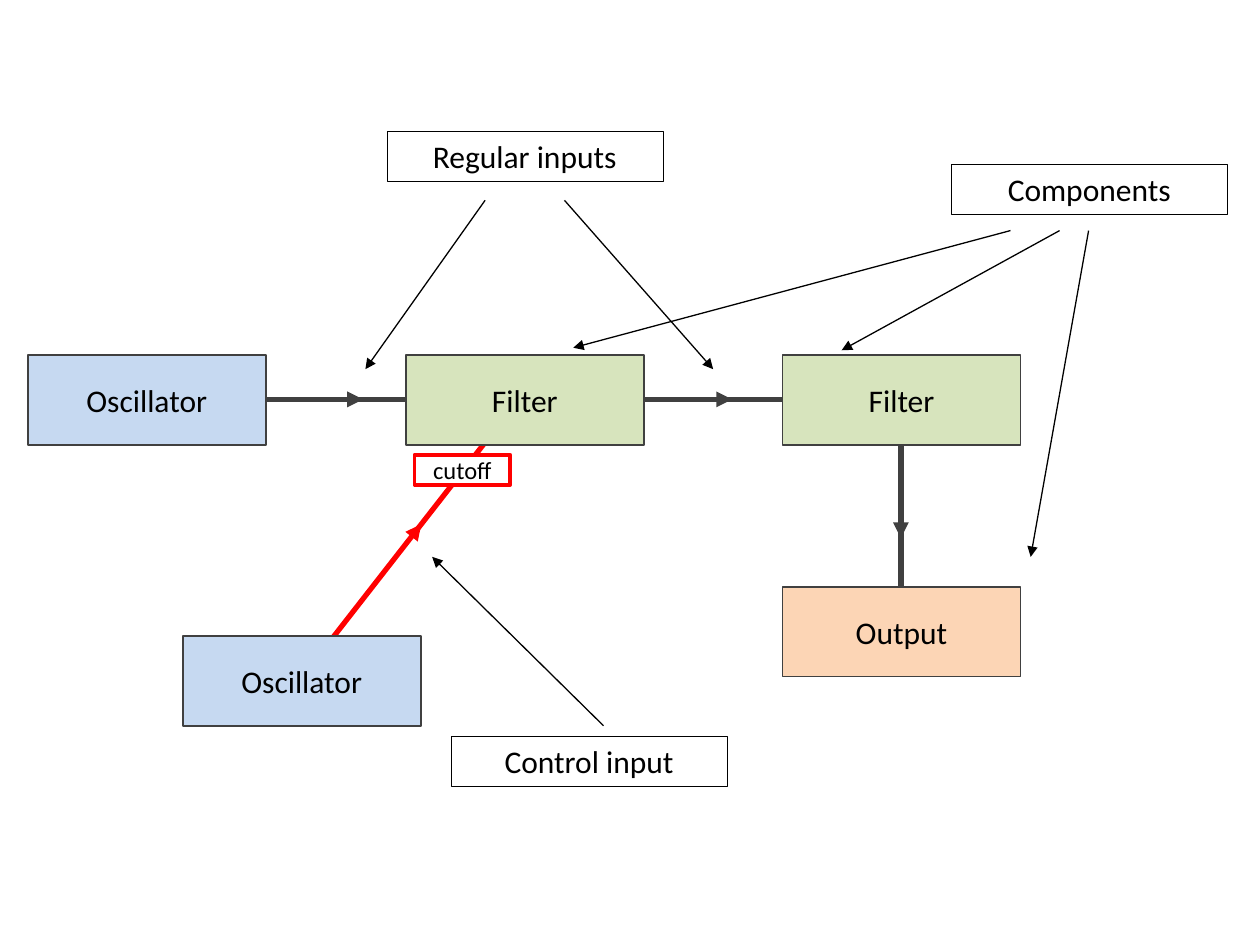
from lxml import etree
from pptx import Presentation
from pptx import util as u
from pptx.dml.color import RGBColor
from pptx.enum import shapes, text
from pptx.oxml.ns import qn

COLORS = {
    "ink": "000000", "grey": "404040", "red": "FF0000", "white": "FFFFFF",
    "blue": "C6D9F1", "green": "D7E4BD", "orange": "FCD5B5",
}


class Diagram:
    """Draws the boxes, labels and arrows of a signal flow diagram."""

    font = "Calibri"
    block_size = (1.89, 0.71)
    label_size = (2.19, 0.4)

    def __init__(self, slide):
        self.shapes = slide.shapes

    def color(self, name):
        return RGBColor.from_string(COLORS[name])

    def outline(self, item, color, width):
        item.line.color.rgb = self.color(color)
        item.line.width = u.Pt(width)

    def box(self, words, place, size, fill, line, width, points=18):
        box = self.shapes.add_shape(
            shapes.MSO_SHAPE.RECTANGLE, *map(u.Inches, place + size))
        box.shadow.inherit = False
        if fill:
            box.fill.solid()
            box.fill.fore_color.rgb = self.color(fill)
        else:
            box.fill.background()
        self.outline(box, line, width)
        frame = box.text_frame
        frame.word_wrap = True
        frame.vertical_anchor = text.MSO_ANCHOR.MIDDLE
        para = frame.paragraphs[0]
        para.alignment = text.PP_ALIGN.CENTER
        span = para.add_run()
        span.text = words
        formats = {"name": self.font, "size": u.Pt(points)}
        for key, value in formats.items():
            setattr(span.font, key, value)
        span.font.color.rgb = self.color("ink")
        return box

    def block(self, words, place, fill):
        self.box(words, place, self.block_size, fill, "grey", 1)

    def label(self, words, place):
        box = self.box(words, place, self.label_size, None, "ink", 0.25)
        box.text_frame.auto_size = text.MSO_AUTO_SIZE.SHAPE_TO_FIT_TEXT

    def line(self, start, end, color="ink", width=0.75, head=True):
        line = self.shapes.add_connector(
            shapes.MSO_CONNECTOR.STRAIGHT, *map(u.Inches, start + end))
        self.outline(line, color, width)
        if head:
            etree.SubElement(line.line._get_or_add_ln(), qn("a:tailEnd"), type="triangle")
        etree.SubElement(line._element.spPr, qn("a:effectLst"))

    def signal(self, start, end, color="grey", tip=0.52):
        def along(share):
            return tuple(a + (b - a) * share for a, b in zip(start, end))

        self.line(start, along(tip), color, 3)
        self.line(along(tip - 0.04), end, color, 3, head=False)


deck = Presentation()
deck.slide_width, deck.slide_height = u.Inches(10), u.Inches(7.5)
page = deck.slides.add_slide(deck.slide_layouts[6])
diagram = Diagram(page)

left, middle, right = 0.22, 3.22, 6.21
row = 2.82

diagram.signal((2.33, 5.46), (4.14, 3.14), "red", 0.56)
for start, end in [
    ((7.15, 3.33), (7.15, 5.14)),
    ((4.87, 3.17), (6.68, 3.17)),
    ((1.94, 3.17), (3.75, 3.17)),
]:
    diagram.signal(start, end)

for words, place, fill in [
    ("Filter", (right, row), "green"),
    ("Output", (right, 4.66), "orange"),
    ("Oscillator", (left, row), "blue"),
    ("Filter", (middle, row), "green"),
    ("Oscillator", (1.45, 5.05), "blue"),
]:
    diagram.block(words, place, fill)

for words, place, pointers in [
    ("Control input", (3.58, 5.84), [((4.79, 5.76), (3.43, 4.42))]),
    ("Regular inputs", (3.07, 1.04), [
        ((3.85, 1.59), (2.9, 2.93)),
        ((4.48, 1.59), (5.66, 2.93))]),
    ("Components", (7.55, 1.3), [
        ((8.41, 1.83), (6.68, 2.78)),
        ((8.02, 1.83), (4.55, 2.76)),
        ((8.64, 1.83), (8.18, 4.42))]),
]:
    diagram.label(words, place)
    for start, end in pointers:
        diagram.line(start, end)

diagram.box("cutoff", (3.29, 3.61), (0.76, 0.24), "white", "red", 2, points=14)

deck.save("out.pptx")
